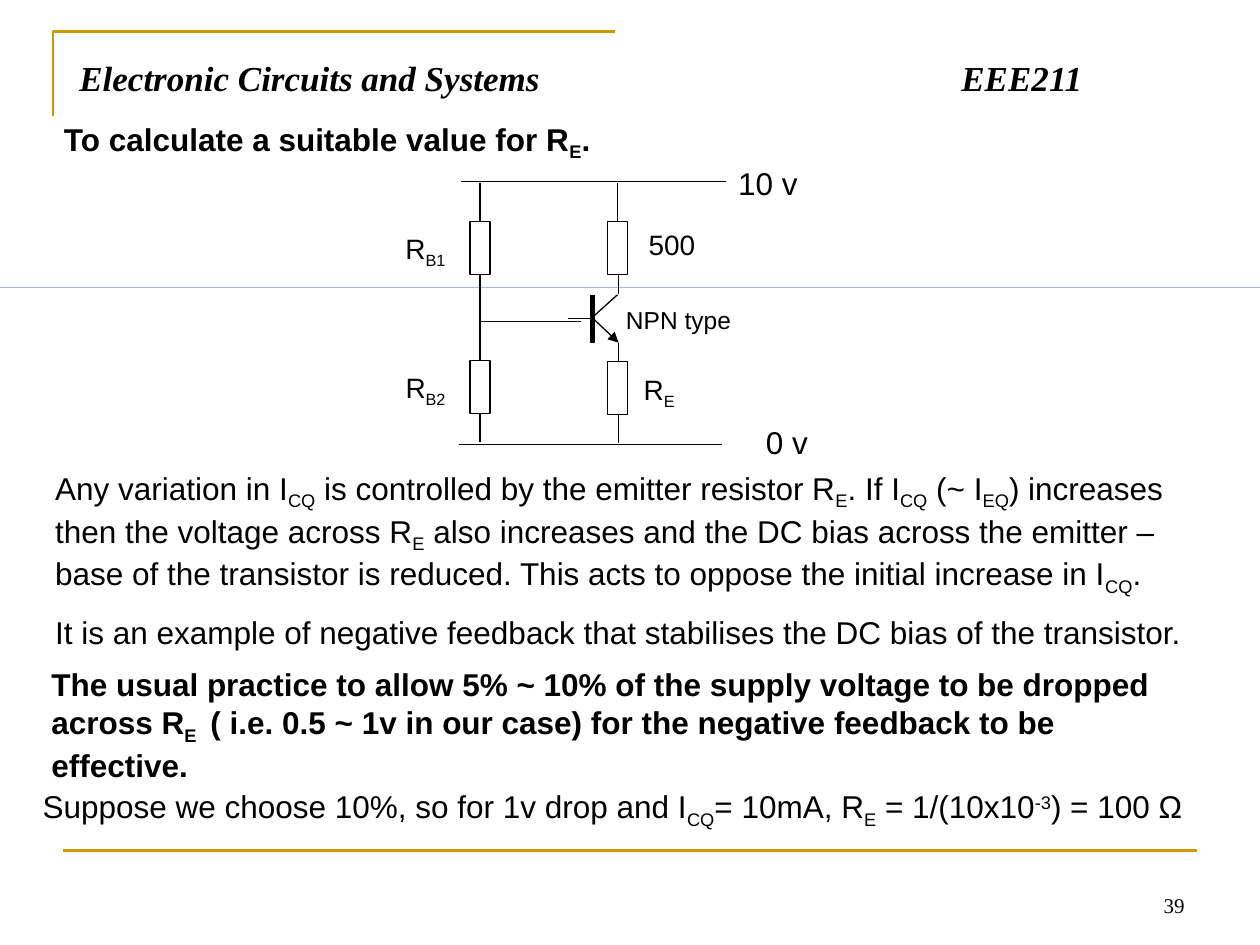
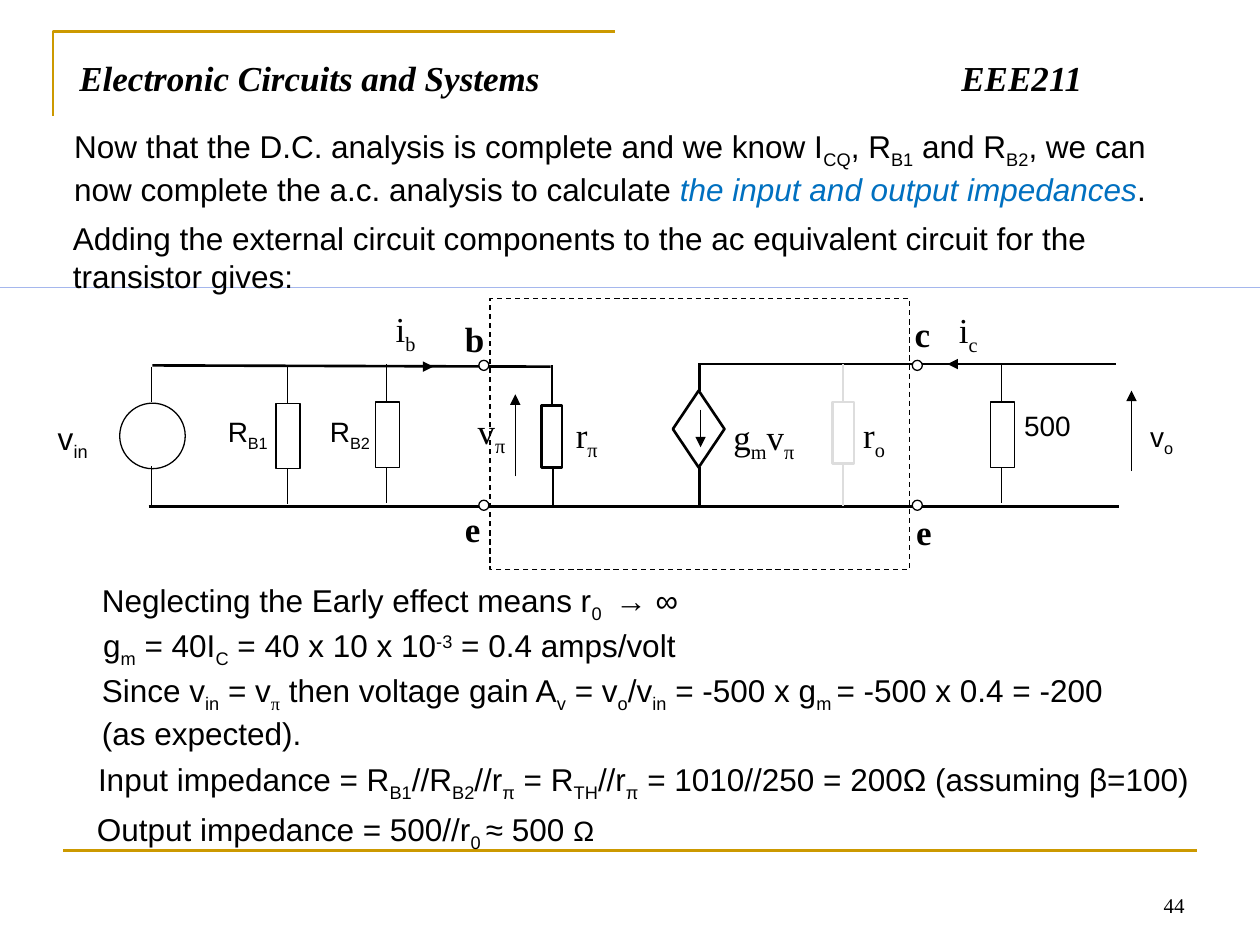
from lxml.etree import SubElement
from pptx import Presentation
from pptx.dml.color import RGBColor
from pptx.enum.dml import MSO_LINE
from pptx.enum.shapes import MSO_CONNECTOR, MSO_SHAPE
from pptx.enum.text import MSO_ANCHOR, MSO_AUTO_SIZE, PP_ALIGN
from pptx.oxml.ns import qn
from pptx.util import Cm, Pt

BLACK = RGBColor(0x00, 0x00, 0x00)
WHITE = RGBColor(0xFF, 0xFF, 0xFF)
GOLD = RGBColor(0xCC, 0x99, 0x00)
NAVY = RGBColor(0x00, 0x33, 0xCC)
BLUE = RGBColor(0x00, 0x70, 0xC0)
PALE = RGBColor(0xDD, 0xDD, 0xDD)
SANS = "Arial"
SERIF = "Times New Roman"

# Inline marks: {_sub}, {^super}, {~serif sub}, {*emphasis}, {'smaller}
MARKS = {
    "_": dict(baseline=-25),
    "^": dict(baseline=30),
    "~": dict(baseline=-25, font=SERIF),
    "*": dict(color=BLUE, italic=True),
    "'": dict(size=16),
}


def grid(value):
    """Length of a layout unit, which is 2.54 cm."""
    return Cm(value * 2.54)


def format_span(span, font=SANS, size=18, color=BLACK, bold=False,
                italic=False, baseline=0):
    span.font.name = font
    span.font.size = Pt(size)
    span.font.color.rgb = color
    span.font.bold = bold
    span.font.italic = italic
    if baseline:
        span._r.get_or_add_rPr().set("baseline", str(baseline * 1000))


def write_text(frame, text, align=PP_ALIGN.LEFT, **style):
    """Write marked-up text, one paragraph per line, into a text frame."""
    for number, line in enumerate(text.split("\n")):
        para = frame.add_paragraph() if number else frame.paragraphs[0]
        para.alignment = align
        if number:
            para.space_before = Pt(9)
        for index, chunk in enumerate(line.replace("}", "{").split("{")):
            if not chunk:
                continue
            marked = index % 2 == 1
            span = para.add_run()
            span.text = chunk[1:] if marked else chunk
            format_span(span, **{**style, **(MARKS[chunk[0]] if marked else {})})


class Lecture:
    """Holds the deck, the house style and the current slide."""

    def __init__(self):
        self.deck = Presentation()
        self.deck.slide_width = grid(10)
        self.deck.slide_height = grid(7.5)
        self.page = None

    def new_page(self, number):
        self.page = self.deck.slides.add_slide(self.deck.slide_layouts[5])
        self.frame_lines()
        self.title("Electronic Circuits and Systems\tEEE211")
        self.text(str(number), 7.17, 6.83, 2.33, 0.5, font=SERIF, size=12,
                  align=PP_ALIGN.RIGHT, anchor=MSO_ANCHOR.BOTTOM, grow=False)

    def frame_lines(self):
        builder = self.page.shapes.build_freeform(grid(0.42), grid(0.92))
        builder.add_line_segments(
            [(grid(0.42), grid(0.25)), (grid(4.88), grid(0.25))], close=False)
        self.paint(builder.convert_to_shape(), None, GOLD, 1.5)
        self.wire(0.5, 6.75, 9.5, 6.75, 1.5, color=GOLD)
        self.shape(MSO_SHAPE.RECTANGLE, 0, 2.28, 10, 0, fill=NAVY, line=None)

    def title(self, text):
        box = self.page.shapes.title
        box.left, box.top = grid(0.53), grid(0.4)
        box.width, box.height = grid(8.92), grid(0.61)
        frame = box.text_frame
        frame.auto_size = MSO_AUTO_SIZE.NONE
        frame.vertical_anchor = MSO_ANCHOR.TOP
        write_text(frame, text, font=SERIF, size=20, bold=True, italic=True)
        tabs = SubElement(frame.paragraphs[0]._p.get_or_add_pPr(), qn("a:tabLst"))
        SubElement(tabs, qn("a:tab"), pos=str(grid(7)), algn="l")

    def text(self, text, left, top, width, height=0.4, inset=True, grow=True,
             anchor=MSO_ANCHOR.TOP, **style):
        box = self.page.shapes.add_textbox(
            grid(left), grid(top), grid(width), grid(height))
        frame = box.text_frame
        frame.word_wrap = True
        frame.vertical_anchor = anchor
        if grow:
            frame.auto_size = MSO_AUTO_SIZE.SHAPE_TO_FIT_TEXT
        if not inset:
            frame.margin_left = frame.margin_right = 0
            frame.margin_top = frame.margin_bottom = 0
        write_text(frame, text, **style)

    def symbol(self, text, left, top, width=0.28, bold=False):
        self.text(text, left, top, width, 0.33, inset=False,
                  font=SERIF, size=20, bold=bold)

    def paint(self, shape, fill, line, weight):
        shape.shadow.inherit = False
        if fill is None:
            shape.fill.background()
        else:
            shape.fill.solid()
            shape.fill.fore_color.rgb = fill
        if line is None:
            shape.line.fill.background()
        else:
            shape.line.color.rgb = line
            shape.line.width = Pt(weight)

    def shape(self, kind, left, top, width, height, fill=WHITE, line=BLACK,
              weight=0.75):
        shape = self.page.shapes.add_shape(
            kind, grid(left), grid(top), grid(width), grid(height))
        self.paint(shape, fill, line, weight)
        return shape

    def resistor(self, left, top, width, height, **style):
        self.shape(MSO_SHAPE.RECTANGLE, left, top, width, height, **style)

    def wire(self, x1, y1, x2, y2, weight=0.75, color=BLACK, arrow=False):
        wire = self.page.shapes.add_connector(
            MSO_CONNECTOR.STRAIGHT, grid(x1), grid(y1), grid(x2), grid(y2))
        wire.line.color.rgb = color
        wire.line.width = Pt(weight)
        properties = wire._element.spPr
        if arrow:
            SubElement(properties.find(qn("a:ln")), qn("a:tailEnd"), type="triangle")
        SubElement(properties, qn("a:effectLst"))


def emitter_resistor_page(lecture):
    lecture.new_page(39)

    # Explanation
    lecture.text("To calculate a suitable value for R{_E}.",
                 0.41, 0.9, 9.17, bold=True)
    lecture.text(
        "Any variation in I{_CQ} is controlled by the emitter resistor R{_E}. "
        "If I{_CQ} (~ I{_EQ}) increases then the voltage across R{_E} also "
        "increases and the DC bias across the emitter – base of the transistor "
        "is reduced. This acts to oppose the initial increase in I{_CQ}.\n"
        "It is an example of negative feedback that stabilises the DC bias of "
        "the transistor.", 0.34, 3.67, 9.17, 1.46)
    lecture.text(
        "The usual practice to allow 5% ~ 10% of the supply voltage to be "
        "dropped across R{_E } ( i.e. 0.5 ~ 1v in our case) for the negative "
        "feedback to be effective.", 0.31, 5.23, 9.16, 1.01, bold=True)
    lecture.text("Suppose we choose 10%, so for 1v drop and I{_CQ}= 10mA, "
                 "R{_E} = 1/(10x10{^-3}) = 100 Ω", 0.24, 6.2, 9.44)

    # Supply rails, bias chain and collector branch
    for ends in [(3.66, 1.44, 5.76, 1.44), (3.64, 3.53, 5.73, 3.53),
                 (3.81, 1.45, 3.81, 3.51), (3.81, 2.55, 4.61, 2.55),
                 (4.9, 1.45, 4.9, 1.76), (4.91, 2.18, 4.91, 2.33),
                 (4.91, 2.72, 4.91, 2.87), (4.91, 3.28, 4.91, 3.52)]:
        lecture.wire(*ends)
    for left, top in [(3.73, 1.76), (3.73, 2.86), (4.82, 1.76), (4.82, 2.87)]:
        lecture.resistor(left, top, 0.16, 0.42)

    # Transistor
    lecture.wire(4.51, 2.53, 4.69, 2.53)
    lecture.wire(4.7, 2.34, 4.7, 2.72, 3)
    lecture.wire(4.7, 2.52, 4.9, 2.34)
    lecture.wire(4.72, 2.54, 4.91, 2.72, arrow=True)

    # Labels
    for label, left, top, width, size in [
            ("10 v", 5.76, 1.25, 0.81, 18), ("0 v", 5.98, 3.31, 0.7, 18),
            ("R{_B1}", 3.12, 1.79, 0.6, 16), ("R{_B2}", 3.12, 2.89, 0.65, 16),
            ("500", 5.05, 1.76, 0.67, 16), ("R{_E}", 5.01, 2.91, 0.82, 16),
            ("NPN type", 4.87, 2.37, 1.2, 14)]:
        lecture.text(label, left, top, width, 0.37, size=size)


def equivalent_circuit_page(lecture):
    lecture.new_page(44)

    # Introduction and results
    for line, left, top, width, height in [
            ("Now that the D.C. analysis is complete and we know I{_CQ}, "
             "R{_B1} and R{_B2}, we can now complete the a.c. analysis to "
             "calculate {*the input and output impedances}.",
             0.49, 0.96, 8.93, 0.7),
            ("Adding the external circuit components to the ac equivalent "
             "circuit for the transistor gives:", 0.48, 1.69, 8.93, 0.7),
            ("Neglecting the Early effect means r{_0 } → ∞",
             0.71, 4.56, 5.15, 0.4),
            ("g{_m} = 40I{_C} = 40 x 10 x 10{^-3} = 0.4 amps/volt",
             0.72, 4.92, 5.15, 0.4),
            ("Since v{_in} = v{~π} then voltage gain A{_v} = v{_o}/v{_in} = "
             "-500 x g{_m }= -500 x 0.4 = -200 (as expected).",
             0.71, 5.28, 8.45, 0.71),
            ("Input impedance = R{_B1}//R{_B2}//r{_π} = R{_TH}//r{_π} = "
             "1010//250 = 200Ω (assuming β=100)", 0.68, 5.98, 9.07, 0.4),
            ("Output impedance = 500//r{_0 }≈ 500 {'Ω}",
             0.67, 6.38, 8.71, 0.4)]:
        lecture.text(line, left, top, width, height)

    # Main wiring
    for ends in [(1.18, 4.02, 8.88, 4.02), (1.21, 2.9, 4.37, 2.91),
                 (5.54, 2.89, 8.86, 2.89), (4.38, 2.9, 4.38, 3.21),
                 (4.39, 3.7, 4.39, 4.03), (5.55, 2.9, 5.55, 3.1),
                 (5.55, 3.71, 5.55, 4.02)]:
        lecture.wire(*ends, 1.5)

    # Signal source and external resistors
    lecture.wire(1.2, 2.91, 1.2, 3.19)
    lecture.wire(1.2, 3.7, 1.2, 4.03)
    lecture.shape(MSO_SHAPE.OVAL, 0.95, 3.2, 0.52, 0.52, fill=None)
    for center, top in [(2.28, 3.2), (3.07, 3.19), (7.95, 3.19)]:
        lecture.wire(center, top - 0.3, center, top + 0.8)
        lecture.resistor(center - 0.09, top, 0.19, 0.52)

    # Transistor model
    lecture.resistor(4.3, 3.22, 0.16, 0.49, weight=1.5)
    lecture.shape(MSO_SHAPE.DIAMOND, 5.34, 3.1, 0.41, 0.61, weight=1.5)
    lecture.wire(5.56, 3.25, 5.56, 3.55, arrow=True)
    lecture.wire(6.69, 2.89, 6.69, 3.18, 1.5, color=PALE)
    lecture.wire(6.69, 3.69, 6.69, 4.02, 1.5, color=PALE)
    lecture.resistor(6.61, 3.19, 0.17, 0.49, fill=None, line=PALE, weight=1.5)
    boundary = lecture.shape(MSO_SHAPE.RECTANGLE, 3.89, 2.37, 3.33, 2.15, fill=None)
    boundary.line.dash_style = MSO_LINE.DASH

    # Terminals
    for left in (3.8, 7.24):
        for top in (2.86, 3.97):
            lecture.shape(MSO_SHAPE.OVAL, left, top, 0.08, 0.08)

    # Current and voltage arrows
    for ends in [(3.28, 2.91, 3.44, 2.91), (7.68, 2.89, 7.52, 2.89),
                 (4.09, 3.78, 4.09, 3.13), (8.98, 3.74, 8.98, 3.1)]:
        lecture.wire(*ends, arrow=True)

    # Labels
    for label, left, top in [
            ("i{_b}", 3.14, 2.44), ("i{_c}", 7.61, 2.45),
            ("v{_π}", 3.79, 3.25), ("r{_π}", 4.57, 3.28), ("r{_o}", 6.85, 3.28)]:
        lecture.symbol(label, left, top)
    lecture.symbol("g{_m}v{_π}", 5.82, 3.3, 0.56)
    for label, left, top in [("b", 3.69, 2.52), ("c", 7.26, 2.48),
                             ("e", 3.69, 4.03), ("e", 7.27, 4.05)]:
        lecture.symbol(label, left, top, 0.15, bold=True)
    for label, left, top, width, size in [
            ("v{_in}", 0.36, 3.28, 0.59, 18), ("R{_B1}", 1.71, 3.24, 0.6, 16),
            ("R{_B2}", 2.52, 3.24, 0.57, 16), ("500", 8.03, 3.19, 0.77, 16),
            ("v{_o}", 9.03, 3.28, 0.5, 16)]:
        lecture.text(label, left, top, width, 0.37, size=size)


def main():
    lecture = Lecture()
    emitter_resistor_page(lecture)
    equivalent_circuit_page(lecture)
    lecture.deck.save("out.pptx")


if __name__ == "__main__":
    main()
